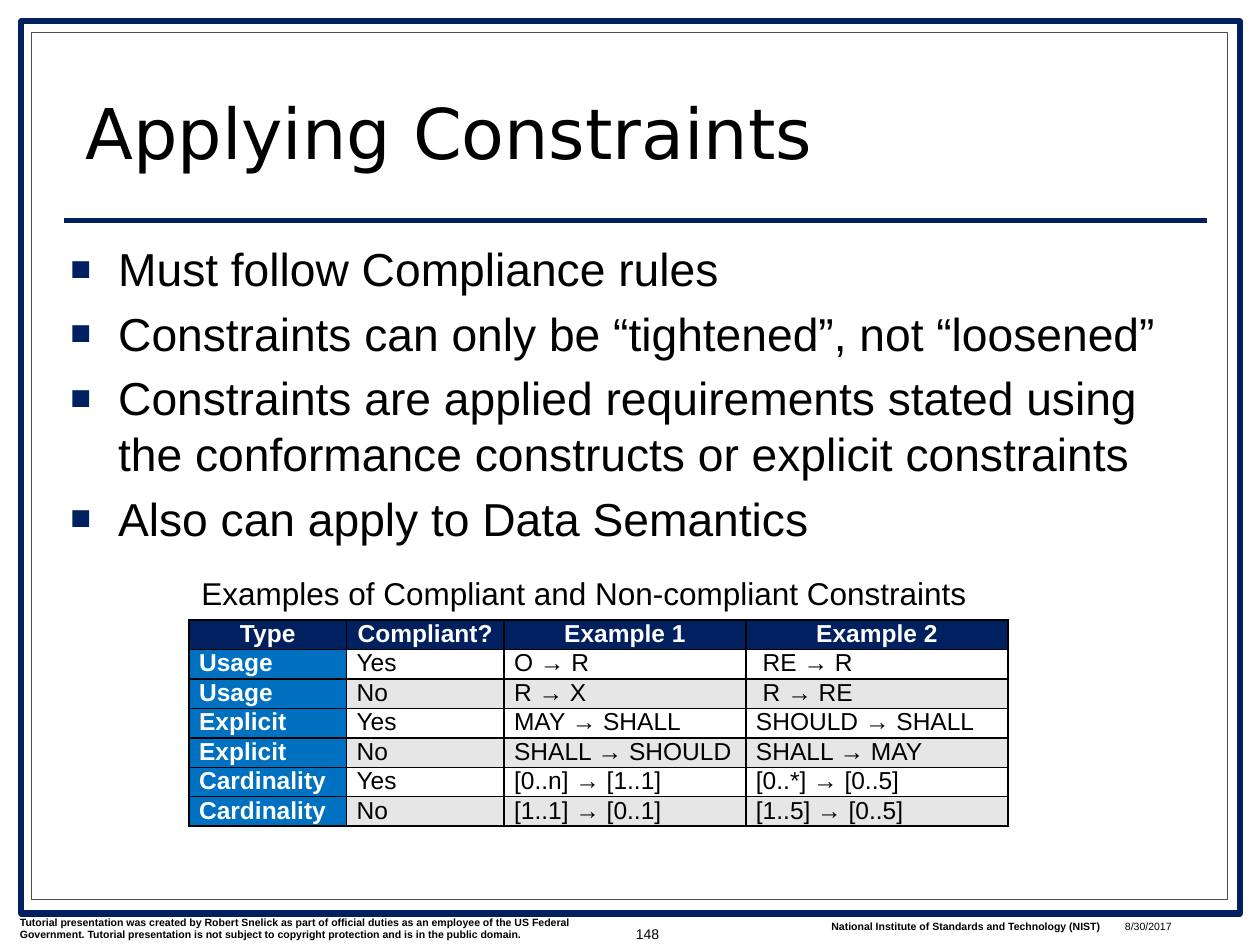
from dataclasses import dataclass

from lxml import etree
from pptx import Presentation
from pptx.dml.color import RGBColor
from pptx.enum.shapes import MSO_CONNECTOR, MSO_SHAPE
from pptx.enum.text import MSO_ANCHOR, PP_ALIGN
from pptx.oxml.ns import qn
from pptx.util import Inches, Pt

RECTANGLE, STRAIGHT = MSO_SHAPE.RECTANGLE, MSO_CONNECTOR.STRAIGHT
TOP, MIDDLE, BOTTOM = MSO_ANCHOR.TOP, MSO_ANCHOR.MIDDLE, MSO_ANCHOR.BOTTOM
LEFT, CENTER, RIGHT = PP_ALIGN.LEFT, PP_ALIGN.CENTER, PP_ALIGN.RIGHT

# Content
TITLE = "Applying Constraints"
RULES = [
    "Must follow Compliance rules",
    "Constraints can only be “tightened”, not “loosened”",
    "Constraints are applied requirements stated using "
    "the conformance constructs or explicit constraints",
    "Also can apply to Data Semantics",
]
CAPTION = "Examples of Compliant and Non-compliant Constraints"
HEADINGS = ("Type", "Compliant?", "Example 1", "Example 2")
EXAMPLES = [
    ("Usage", "Yes", "O → R", " RE → R"),
    ("Usage", "No", "R → X", " R → RE"),
    ("Explicit", "Yes", "MAY → SHALL", "SHOULD → SHALL"),
    ("Explicit", "No", "SHALL → SHOULD", "SHALL → MAY"),
    ("Cardinality", "Yes", "[0..n] → [1..1]", "[0..*] → [0..5]"),
    ("Cardinality", "No", "[1..1] → [0..1]", "[1..5] → [0..5]"),
]
NOTICE = ("Tutorial presentation was created by Robert Snelick as part of official "
          "duties as an employee of the US Federal Government. Tutorial presentation "
          "is not subject to copyright protection and is in the public domain.")
INSTITUTE = "National Institute of Standards and Technology (NIST)"
DATE = "8/30/2017"
PAGE = "148"


@dataclass(frozen=True)
class Theme:
    navy: str = "002060"
    blue: str = "0070C0"
    band: str = "E6E6E6"
    gray: str = "4D4D4D"
    white: str = "FFFFFF"
    black: str = "000000"
    title_font: str = "DejaVu Sans"
    body_font: str = "Arial"
    title: float = 40
    body: float = 26.4
    caption: float = 18
    cell: float = 14
    page: float = 8
    footer: float = 6


THEME = Theme()

# Layout in inches
WIDTH, HEIGHT = 10, 7.5
FRAMES = [((0.17, 0.17, 9.67, 7.08), THEME.navy, 3.5),
          ((0.25, 0.26, 9.49, 6.88), THEME.gray, 0.75)]
TABLE_LEFT, TABLE_TOP, ROW_HEIGHT = 1.5, 4.92, 0.22
COLUMNS = (1.25, 1.25, 1.92, 2.08)
INDENT = 0.38

deck = Presentation()
deck.slide_width, deck.slide_height = Inches(WIDTH), Inches(HEIGHT)
slide = deck.slides.add_slide(deck.slide_layouts[6])


def rgb(color):
    return RGBColor.from_string(color)


def add_run(paragraph, text, size, color=THEME.black, bold=False, font=THEME.body_font):
    run = paragraph.add_run()
    run.text = text
    run.font.name, run.font.size, run.font.bold = font, Pt(size), bold
    run.font.color.rgb = rgb(color)


def add_text(box, lines, size, anchor=TOP, align=LEFT, **style):
    frame = slide.shapes.add_textbox(*map(Inches, box)).text_frame
    frame.word_wrap, frame.vertical_anchor = True, anchor
    for index, line in enumerate(lines):
        paragraph = frame.add_paragraph() if index else frame.paragraphs[0]
        paragraph.alignment = align
        add_run(paragraph, line, size, **style)
    return frame.paragraphs


def add_bullet(paragraph):
    properties = paragraph._p.get_or_add_pPr()
    properties.set("marL", str(Inches(INDENT)))
    properties.set("indent", str(-Inches(INDENT)))
    color = etree.SubElement(properties, qn("a:buClr"))
    etree.SubElement(color, qn("a:srgbClr"), val=THEME.navy)
    etree.SubElement(properties, qn("a:buSzPct"), val="75000")
    etree.SubElement(properties, qn("a:buFont"), typeface=THEME.body_font)
    etree.SubElement(properties, qn("a:buChar"), char="■")


def add_borders(cell):
    properties = cell._tc.get_or_add_tcPr()
    for position, side in enumerate(("a:lnL", "a:lnR", "a:lnT", "a:lnB")):
        border = etree.Element(qn(side), w=str(Pt(1)))
        fill = etree.SubElement(border, qn("a:solidFill"))
        etree.SubElement(fill, qn("a:srgbClr"), val=THEME.black)
        properties.insert(position, border)


# Double frame and title rule
for box, color, weight in FRAMES:
    frame = slide.shapes.add_shape(RECTANGLE, *map(Inches, box))
    frame.shadow.inherit = False
    frame.fill.solid()
    frame.fill.fore_color.rgb = rgb(THEME.white)
    frame.line.color.rgb, frame.line.width = rgb(color), Pt(weight)

rule = slide.shapes.add_connector(STRAIGHT, *map(Inches, (0.51, 1.75, 9.58, 1.75)))
rule.line.color.rgb, rule.line.width = rgb(THEME.navy), Pt(3)
etree.SubElement(rule._element.spPr, qn("a:effectLst"))

# Footer
add_text((0.06, 7.22, 4.83, 0.3), [NOTICE], THEME.footer, bold=True)
add_text((6.5, 7.25, 2.38, 0.2), [INSTITUTE], THEME.footer, bold=True)
add_text((8.83, 7.25, 0.92, 0.17), [DATE], THEME.footer)
add_text((4.75, 7.15, 0.58, 0.52), [PAGE], THEME.page, MIDDLE, RIGHT)

# Title and rules
heading = add_text((0.58, 0.52, 8.92, 0.9), [TITLE], THEME.title, BOTTOM,
                   font=THEME.title_font)
heading[0].line_spacing = 0.8
for index, paragraph in enumerate(add_text((0.46, 1.86, 9.04, 2.19), RULES, THEME.body)):
    add_bullet(paragraph)
    if index:
        paragraph.space_before = Pt(0.2 * THEME.body)

# Table of examples
rows = [HEADINGS, *EXAMPLES]
table = slide.shapes.add_table(
    len(rows), len(COLUMNS), Inches(TABLE_LEFT), Inches(TABLE_TOP),
    Inches(sum(COLUMNS)), Inches(ROW_HEIGHT * len(rows))).table
for column, width in zip(table.columns, COLUMNS):
    column.width = Inches(width)
for r, row in enumerate(rows):
    table.rows[r].height = Inches(ROW_HEIGHT)
    for c, text in enumerate(row):
        cell = table.cell(r, c)
        cell.margin_left = cell.margin_right = Inches(0.08)
        cell.margin_top = cell.margin_bottom = 0
        strong = r == 0 or c == 0
        banding = THEME.white if r % 2 else THEME.band
        cell.fill.solid()
        cell.fill.fore_color.rgb = rgb(
            THEME.navy if r == 0 else THEME.blue if c == 0 else banding)
        add_borders(cell)
        paragraph = cell.text_frame.paragraphs[0]
        paragraph.alignment = LEFT if r else CENTER
        paragraph.space_after = Pt(6)
        add_run(paragraph, text, THEME.cell, THEME.white if strong else THEME.black, strong)

# Table caption
add_text((TABLE_LEFT, 4.51, sum(COLUMNS), 0.4), [CAPTION], THEME.caption)

deck.save("out.pptx")
